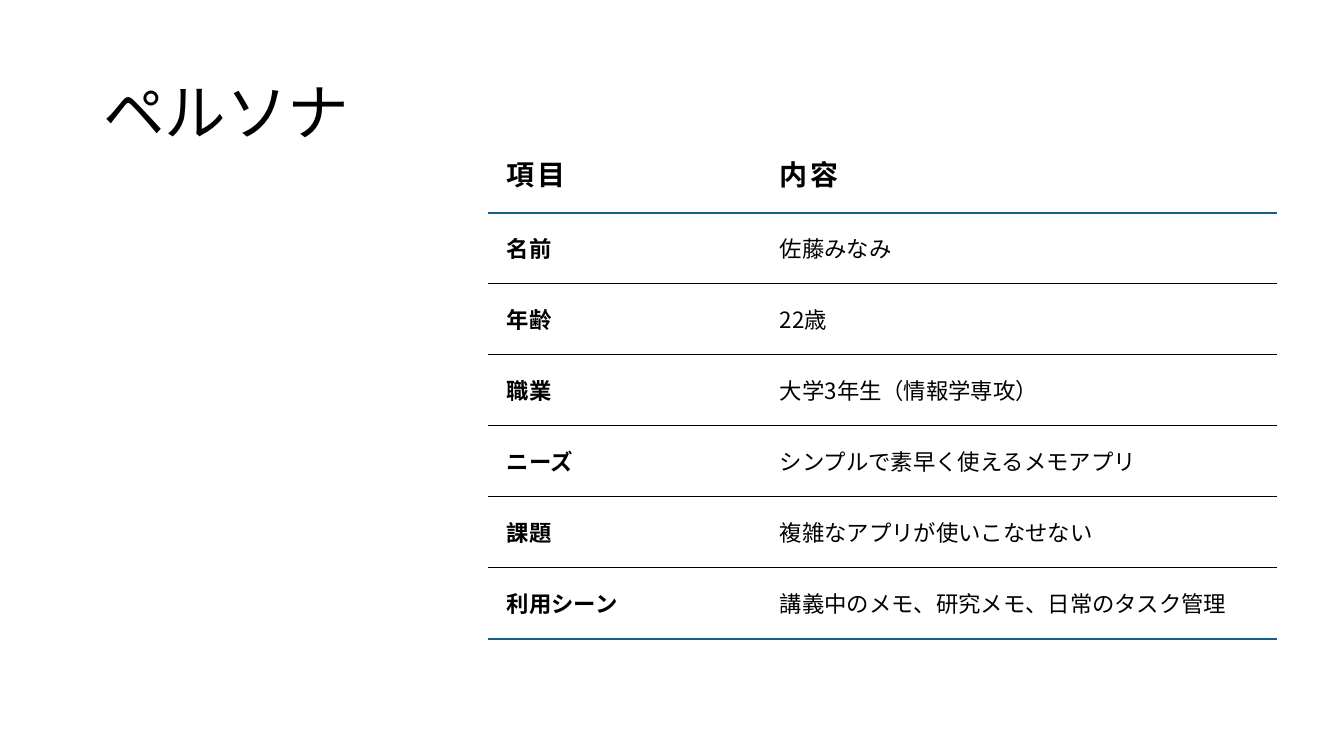
from dataclasses import dataclass

from lxml.etree import SubElement
from pptx import Presentation
from pptx.dml.color import RGBColor
from pptx.enum.text import MSO_ANCHOR, PP_ALIGN
from pptx.oxml.ns import qn
from pptx.util import Pt

TITLE = "ペルソナ"
HEADER = ("項目", "内容")
PERSONA = [
    ("名前", "佐藤みなみ"),
    ("年齢", "22歳"),
    ("職業", "大学3年生（情報学専攻）"),
    ("ニーズ", "シンプルで素早く使えるメモアプリ"),
    ("課題", "複雑なアプリが使いこなせない"),
    ("利用シーン", "講義中のメモ、研究メモ、日常のタスク管理"),
]

SLIDE_SIZE = (1344, 756)
TITLE_BOX = (93, 77, 1159, 146)
TABLE_ORIGIN = (488, 134)
COLUMN_WIDTHS = (273, 516)
HEADER_HEIGHT, ROW_HEIGHT = 78, 71
CELL_INSET = 19
EMU_PER_PX = 914400 / 100.8
PLAIN_TABLE_STYLE = "{2D5ABB26-0587-4C30-8999-92F81FD0307C}"


@dataclass(frozen=True)
class Theme:
    text: str = "000000"
    accent: str = "156082"
    title_font: str = "Arial"
    body_font: str = "Noto Sans CJK JP"
    title_size: int = 44
    header_size: int = 20
    body_size: int = 16
    header_spacing: int = 150
    accent_line: float = 1.5
    thin_line: float = 0.5


THEME = Theme()


def px(length):
    return round(length * EMU_PER_PX)


def style_paragraph(paragraph, size, latin_font, bold=False, spacing=0):
    """Format a paragraph, with the body font for Japanese letters."""
    font = paragraph.font
    font.size = Pt(size)
    font.bold = bold
    font.name = latin_font
    font.color.rgb = RGBColor.from_string(THEME.text)
    properties = paragraph._p.pPr.find(qn("a:defRPr"))
    properties.set("spc", str(spacing))
    SubElement(properties, qn("a:ea"), typeface=THEME.body_font)


def add_border(cell, side, color, width):
    line = SubElement(cell._tc.get_or_add_tcPr(), qn(f"a:ln{side}"), w=str(Pt(width)))
    fill = SubElement(line, qn("a:solidFill"))
    SubElement(fill, qn("a:srgbClr"), val=color)


def add_title(slide):
    title = slide.shapes.title
    title.left, title.top, title.width, title.height = map(px, TITLE_BOX)
    frame = title.text_frame
    frame.text = TITLE
    frame.word_wrap = True
    frame.vertical_anchor = MSO_ANCHOR.TOP
    paragraph = frame.paragraphs[0]
    paragraph.alignment = PP_ALIGN.LEFT
    paragraph.line_spacing = 0.9
    style_paragraph(paragraph, THEME.title_size, THEME.title_font)


def add_persona_table(slide):
    rows = [HEADER, *PERSONA]
    heights = [HEADER_HEIGHT] + [ROW_HEIGHT] * len(PERSONA)
    frame = slide.shapes.add_table(
        len(rows), len(HEADER), *map(px, (*TABLE_ORIGIN, sum(COLUMN_WIDTHS), sum(heights)))
    )
    table = frame.table
    table.first_row = table.horz_banding = False
    table._tbl.tblPr.find(qn("a:tableStyleId")).text = PLAIN_TABLE_STYLE
    for column, width in zip(table.columns, COLUMN_WIDTHS):
        column.width = px(width)

    thin = (THEME.text, THEME.thin_line)
    accent = (THEME.accent, THEME.accent_line)
    rules = [accent] + [thin] * (len(PERSONA) - 1) + [accent]
    for row_index, texts in enumerate(rows):
        table.rows[row_index].height = px(heights[row_index])
        is_header = row_index == 0
        for column_index, text in enumerate(texts):
            cell = table.cell(row_index, column_index)
            cell.text = text
            cell.vertical_anchor = MSO_ANCHOR.MIDDLE
            cell.margin_left = cell.margin_right = px(CELL_INSET)
            cell.margin_top = cell.margin_bottom = px(CELL_INSET)
            style_paragraph(
                cell.text_frame.paragraphs[0],
                THEME.header_size if is_header else THEME.body_size,
                THEME.body_font,
                bold=is_header or column_index == 0,
                spacing=THEME.header_spacing if is_header else 0,
            )
            if not is_header:
                add_border(cell, "T", *rules[row_index - 1])
            add_border(cell, "B", *rules[row_index])
            cell.fill.background()


def main():
    presentation = Presentation()
    presentation.slide_width, presentation.slide_height = map(px, SLIDE_SIZE)
    slide = presentation.slides.add_slide(presentation.slide_layouts[5])
    add_persona_table(slide)
    add_title(slide)
    presentation.save("out.pptx")


if __name__ == "__main__":
    main()
